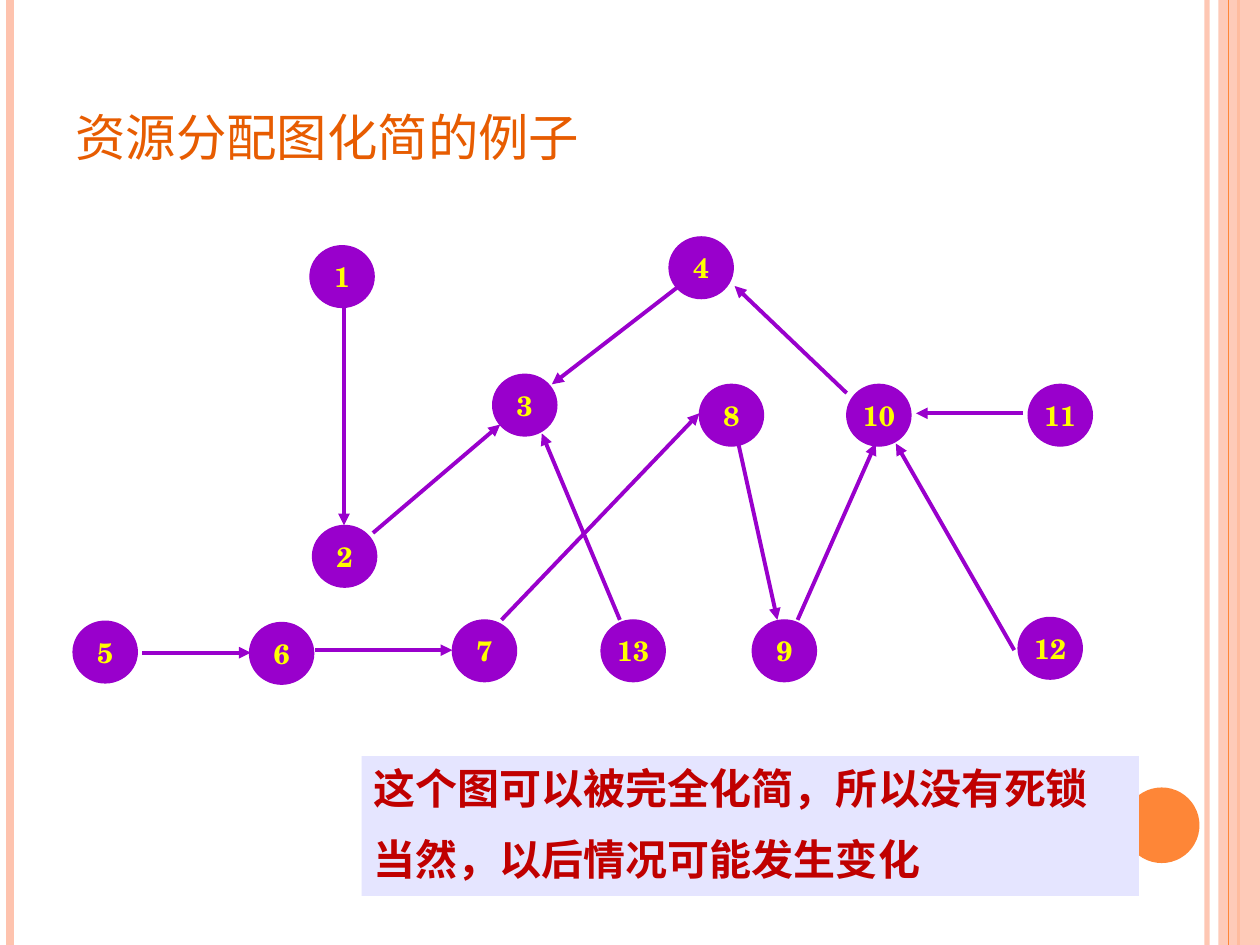
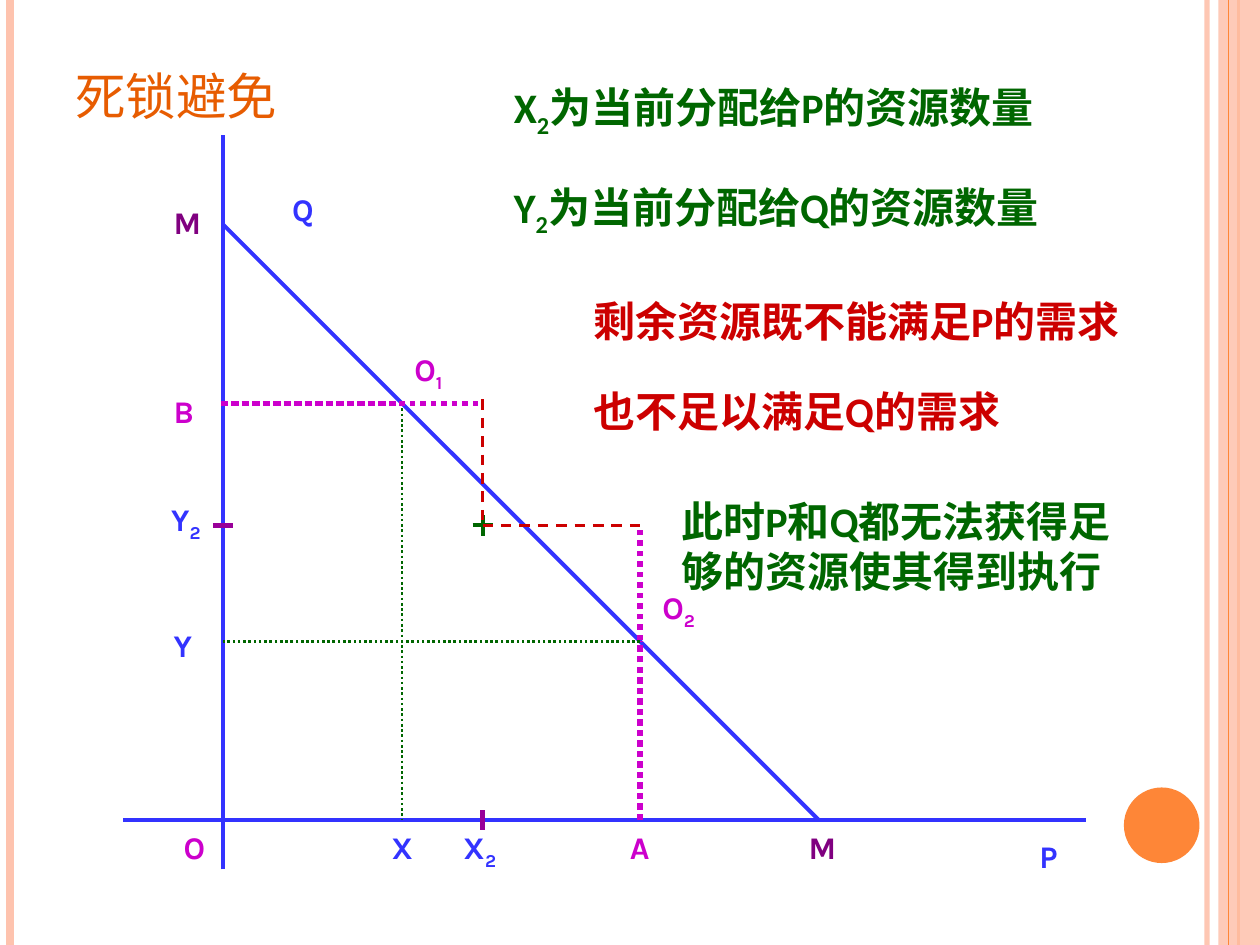
import pptx
import pptx.dml.color
import pptx.enum.dml
import pptx.enum.shapes
import pptx.enum.text
import pptx.oxml.ns
import pptx.util
from lxml import etree

Inches = pptx.util.Inches
SHAPE = pptx.enum.shapes.MSO_SHAPE
ANCHOR = pptx.enum.text.MSO_ANCHOR
CENTER = pptx.enum.text.PP_ALIGN.CENTER
DOTTED = pptx.enum.dml.MSO_LINE.ROUND_DOT
DASHED = pptx.enum.dml.MSO_LINE.DASH

PEACH, ORANGE, RUST = "FEC3AE", "FE8637", "E75C01"
VIOLET, YELLOW, LAVENDER, CRIMSON = "9900CC", "FFFF00", "E5E5FF", "C00000"
BLUE, MAGENTA, PURPLE, PLUM = "3333FF", "CC00CC", "800080", "990099"
GREEN, RED = "006600", "CC0000"
CJK, LABEL, BODY, NUMBER = "Noto Sans CJK SC", "Karla", "Calibri", "TeX Gyre Schola"


def color(code):
    """Turn a hex string into a colour."""
    return pptx.dml.color.RGBColor.from_string(code)


def add_child(parent, tag, **attributes):
    """Append a DrawingML element."""
    return etree.SubElement(parent, pptx.oxml.ns.qn(tag), attributes)


def set_alpha(fill, percent):
    """Make a solid fill partly transparent."""
    solid = fill._xPr.find(pptx.oxml.ns.qn("a:solidFill"))
    add_child(solid[0], "a:alpha", val=str(percent * 1000))


def add_line(page, start, end, code, width, dash=None, arrow=False, alpha=None):
    """Draw a straight line, dashed or with an arrowhead if asked."""
    points = [Inches(value) for value in (*start, *end)]
    line = page.shapes.add_connector(pptx.enum.shapes.MSO_CONNECTOR.STRAIGHT, *points)
    line.line.color.rgb = color(code)
    line.line.width = pptx.util.Pt(width)
    if dash:
        line.line.dash_style = dash
    if alpha:
        set_alpha(line.line.fill, alpha)
    if arrow:
        add_child(line.line._get_or_add_ln(), "a:tailEnd", type="triangle")
    add_child(line._element.spPr, "a:effectLst")


def add_box(page, kind, box, code, outline=None):
    """Draw a filled preset shape."""
    shape = page.shapes.add_shape(kind, *map(Inches, box))
    shape.shadow.inherit = False
    shape.fill.solid()
    shape.fill.fore_color.rgb = color(code)
    if outline:
        shape.line.color.rgb = color(outline)
        shape.line.width = pptx.util.Pt(0.75)
    else:
        shape.line.fill.background()
    return shape


def write(shape, lines, font, size, code, bold=True, wrap=True, grow=False,
          anchor=ANCHOR.TOP, align=None, spaced=False, small_caps=False):
    """Fill a shape with lines of text, where underscores enclose a subscript."""
    frame = shape.text_frame
    frame.word_wrap = wrap
    frame.vertical_anchor = anchor
    if grow:
        frame.auto_size = pptx.enum.text.MSO_AUTO_SIZE.SHAPE_TO_FIT_TEXT
    for index, text in enumerate(lines):
        para = frame.add_paragraph() if index else frame.paragraphs[0]
        para.alignment = align or pptx.enum.text.PP_ALIGN.LEFT
        if spaced:
            before = add_child(para._p.get_or_add_pPr(), "a:spcBef")
            add_child(before, "a:spcPct", val="50000")
        for position, part in enumerate(text.split("_")):
            span = para.add_run()
            span.text = part
            span.font.name = font
            span.font.size = pptx.util.Pt(size)
            span.font.bold = bold
            span.font.color.rgb = color(code)
            properties = span.font._element
            add_child(properties, "a:ea", typeface=font)
            if position % 2:
                properties.set("baseline", "-25000")
            if small_caps:
                properties.set("cap", "small")


def add_text(page, box, lines, font, size, code, **options):
    """Add a text box."""
    write(page.shapes.add_textbox(*map(Inches, box)), lines, font, size, code, **options)


def add_page(deck, title, title_height):
    """Add a slide with the side bands, the disc and its title."""
    page = deck.slides.add_slide(deck.slide_layouts[6])
    for x, code, width, alpha in ((9.58, PEACH, 3, 93), (0.08, PEACH, 4.5, None),
                                  (9.83, ORANGE, 1.5, None)):
        add_line(page, (x, 0), (x, 7.5), code, width, alpha=alpha)
    band = add_box(page, SHAPE.RECTANGLE, (9.67, 0, 0.33, 7.5), PEACH)
    set_alpha(band.fill, 87)
    add_line(page, (9.75, 0), (9.75, 7.5), ORANGE, 0.75)
    add_box(page, SHAPE.OVAL, (8.92, 6.25, 0.6, 0.6), ORANGE)
    add_text(page, (0.5, 0.3, 8.17, title_height), [title], CJK, 36, RUST,
             bold=False, anchor=ANCHOR.BOTTOM, small_caps=True)
    return page


def add_graph(page, left, top):
    """Draw the numbered nodes and the arrows between them."""
    nodes = ((1.88, 0.07), (1.9, 2.29), (3.33, 1.09), (4.73, 0), (0, 3.05),
             (1.4, 3.06), (3.01, 3.04), (4.97, 1.17), (5.39, 3.04), (6.14, 1.17),
             (7.58, 1.17), (7.5, 3.02), (4.19, 3.04))
    arrows = (
        (2.15, 0.54, 2.15, 2.29), (2.38, 2.35, 3.39, 1.49), (4.81, 0.39, 3.8, 1.17),
        (0.55, 3.3, 1.41, 3.3), (1.92, 3.28, 3.01, 3.28), (3.4, 3.04, 4.97, 1.4),
        (5.28, 1.64, 5.59, 3.04), (5.75, 3.04, 6.37, 1.64), (6.14, 1.24, 5.25, 0.39),
        (7.54, 1.4, 6.69, 1.4), (7.47, 3.28, 6.53, 1.64), (4.34, 3.04, 3.72, 1.56))
    for number, (x, y) in enumerate(nodes, 1):
        node = add_box(page, SHAPE.OVAL, (left + x, top + y, 0.51, 0.49), VIOLET, VIOLET)
        write(node, [str(number)], NUMBER, 16, YELLOW, wrap=False,
              anchor=ANCHOR.MIDDLE, align=CENTER)
    for x1, y1, x2, y2 in arrows:
        add_line(page, (left + x1, top + y1), (left + x2, top + y2), VIOLET, 2.25, arrow=True)


def add_conclusion(page, box):
    """Add the shaded conclusion."""
    panel = add_box(page, SHAPE.RECTANGLE, box, LAVENDER)
    write(panel, ["这个图可以被完全化简，所以没有死锁", "当然，以后情况可能发生变化"],
          CJK, 24, CRIMSON, grow=True, spaced=True)


def add_resource_plot(page, left, base):
    """Draw axes, limit line and guides, measured from the origin upwards."""
    limit, claim = 4.73, 3.31
    rest = limit - claim
    held_p, held_q = 2.06, 2.34
    tick = 0.08
    lines = (
        ((-0.79, 0), (6.85, 0), BLUE, 2.25, None),
        ((0, -0.39), (0, 5.44), BLUE, 2.25, None),
        ((0, limit), (limit, 0), BLUE, 2.25, None),
        ((0, claim), (rest, claim), MAGENTA, 3, DOTTED),
        ((rest, claim), (rest, 0), GREEN, 1.5, DOTTED),
        ((claim, 0), (claim, rest), MAGENTA, 3, DOTTED),
        ((claim, rest), (0, rest), GREEN, 1.5, DOTTED),
        ((held_p, tick), (held_p, -tick), PLUM, 3, None),
        ((-tick, held_q), (tick, held_q), PLUM, 3, None),
        ((held_p - tick, held_q), (held_p + tick, held_q), GREEN, 2.25, None),
        ((held_p, held_q + tick), (held_p, held_q - tick), GREEN, 2.25, None),
        ((-0.02, claim), (held_p, claim), MAGENTA, 3, DOTTED),
        ((held_p, claim + 0.03), (held_p, held_q), RED, 1.5, DASHED),
        ((claim, 0.01), (claim, held_q), MAGENTA, 3, DOTTED),
        ((held_p, held_q), (claim, held_q), RED, 1.5, DASHED))
    for (x1, y1), (x2, y2), code, width, dash in lines:
        add_line(page, (left + x1, base - y1), (left + x2, base - y2), code, width, dash)

    below, beside = -0.01, -0.49
    labels = (
        ("O", -0.41, below, 0.39, MAGENTA), ("X", rest - 0.18, below, 0.37, BLUE),
        ("X_2", held_p - 0.25, below, 0.48, BLUE), ("A", claim - 0.18, below, 0.37, MAGENTA),
        ("M", limit - 0.18, below, 0.43, PURPLE), ("P", 6.38, -0.08, 0.37, BLUE),
        ("Y", beside, 1.59, 0.37, BLUE), ("Y_2", -0.51, 2.59, 0.48, BLUE),
        ("B", beside, 3.45, 0.37, MAGENTA), ("M", beside, 4.95, 0.43, PURPLE),
        ("Q", 0.45, 5.05, 0.4, BLUE), ("O_1", rest, 3.78, 0.5, MAGENTA),
        ("O_2", claim + 0.08, 1.89, 0.5, MAGENTA))
    for text, x, y, width, code in labels:
        add_text(page, (left + x, base - y, width, 0.4), [text], LABEL, 18, code,
                 wrap=False, grow=True)


def add_remarks(page, left, top):
    """Add the remarks that step down to the right."""
    remarks = (
        ("X_2_为当前分配给P的资源数量", 0, 0, 5.51, 0.5, GREEN),
        ("Y_2_为当前分配给Q的资源数量", 0, 0.79, 5.51, 0.5, GREEN),
        ("剩余资源既不能满足P的需求", 0.63, 1.7, 5.28, 0.5, RED),
        ("也不足以满足Q的需求", 0.63, 2.41, 5.28, 0.5, RED),
        ("此时P和Q都无法获得足够的资源使其得到执行", 1.33, 3.28, 3.92, 0.91, GREEN))
    for text, x, y, width, height, code in remarks:
        add_text(page, (left + x, top + y, width, height), [text], BODY, 24, code,
                 grow=True, spaced=True)


def main():
    """Build both slides and save the deck."""
    deck = pptx.Presentation()
    deck.slide_width, deck.slide_height = Inches(10), Inches(7.5)
    page = add_page(deck, "资源分配图化简的例子", 1.09)
    add_graph(page, 0.58, 1.88)
    add_conclusion(page, (2.87, 6, 6.17, 1.11))
    page = add_page(deck, "死锁避免", 0.77)
    add_resource_plot(page, 1.77, 6.51)
    add_remarks(page, 3.98, 0.6)
    deck.save("out.pptx")


if __name__ == "__main__":
    main()
